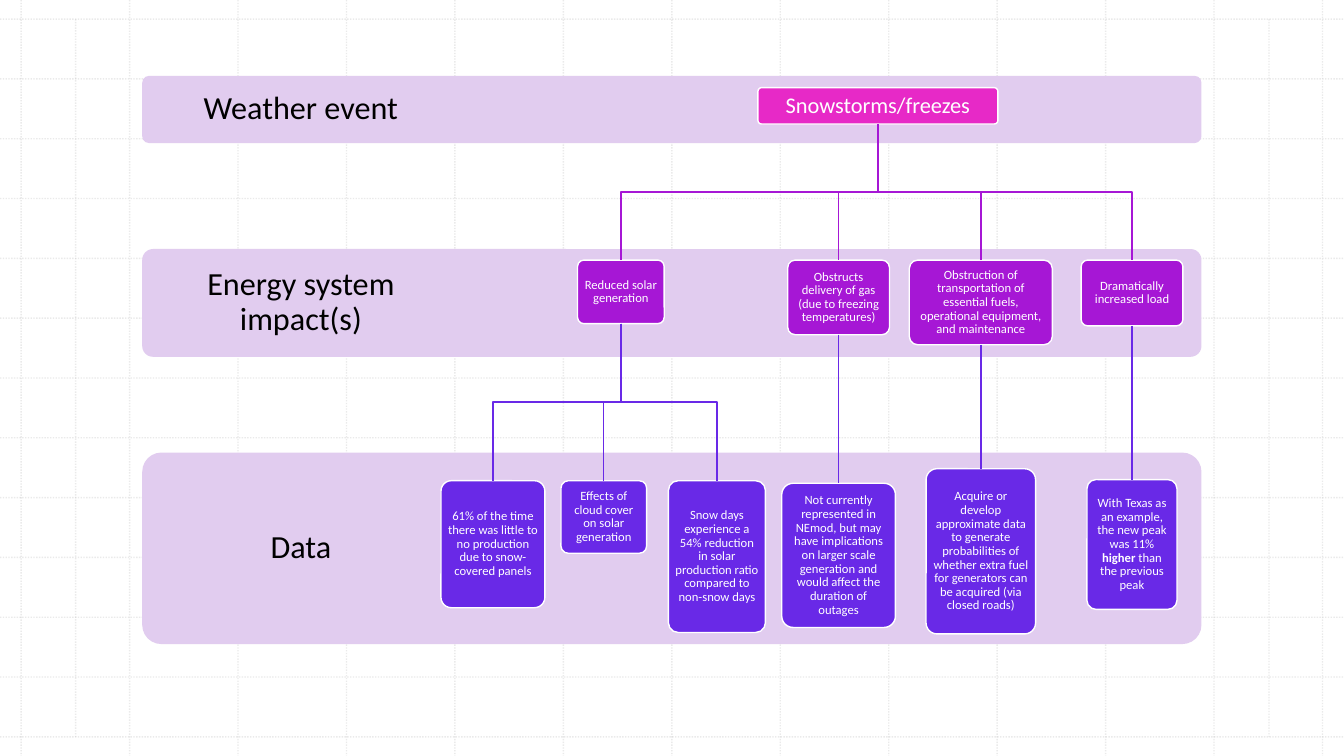
from pptx import Presentation
from pptx.dml.color import RGBColor
from pptx.enum.dml import MSO_LINE
from pptx.enum.shapes import MSO_CONNECTOR, MSO_SHAPE
from pptx.enum.text import MSO_ANCHOR, PP_ALIGN
from pptx.oxml.xmlchemy import OxmlElement
from pptx.util import Pt

STRAIGHT = MSO_CONNECTOR.STRAIGHT
ROUNDED = MSO_SHAPE.ROUNDED_RECTANGLE
DOTTED = MSO_LINE.ROUND_DOT
CENTER = PP_ALIGN.CENTER
MIDDLE = MSO_ANCHOR.MIDDLE
BOTTOM_SITE, TOP_SITE = 2, 0

rgb = RGBColor.from_string
PINK, PURPLE, VIOLET = "E729C7", "A617D5", "6929E7"

prs = Presentation()
prs.slide_width, prs.slide_height = Pt(960), Pt(540)
s = prs.slides.add_slide(prs.slide_layouts[6])


def add_line(x1, y1, x2, y2, color):
    cxn = s.shapes.add_connector(STRAIGHT, Pt(x1), Pt(y1), Pt(x2), Pt(y2))
    cxn.line.color.rgb = rgb(color)
    cxn.line.width = Pt(1)
    cxn._element.spPr.append(OxmlElement("a:effectLst"))
    return cxn


def write(sp, text, size, color, inset):
    tf = sp.text_frame
    tf.word_wrap = True
    tf.vertical_anchor = MIDDLE
    tf.margin_left = tf.margin_right = tf.margin_top = tf.margin_bottom = Pt(inset)
    p = tf.paragraphs[0]
    p.alignment = CENTER
    p.line_spacing = 0.9
    for i, part in enumerate(text.split("|")):
        r = p.add_run()
        r.text = part
        r.font.name = "Calibri"
        r.font.size = Pt(size)
        r.font.bold = i % 2 == 1
        r.font.color.rgb = rgb(color)


left, top, right, bottom = 15.12, 13.68, 944.64, 526.32
grid = [(left + i * (right - left) / 12, 0, left + i * (right - left) / 12, 540) for i in range(13)]
grid += [(0, top + i * (bottom - top) / 12, 960, top + i * (bottom - top) / 12) for i in range(13)]
grid += [(x, top, x, bottom) for x in (54, 906.48)]
for ends in grid:
    cxn = add_line(*ends, "BCBCBC")
    cxn.line.dash_style = DOTTED
    alpha = OxmlElement("a:alpha")
    alpha.set("val", "30000")
    cxn.line._ln.find(".//{*}srgbClr").append(alpha)

bands = [("Data", 323.3, 136.8), ("Energy system impact(s)", 177.9, 77), ("Weather event", 54.2, 48)]
for label, y, h in bands:
    sp = s.shapes.add_shape(ROUNDED, Pt(101.6), Pt(y), Pt(756.6), Pt(h))
    sp.adjustments[0] = 0.1
    sp.shadow.inherit = False
    sp.fill.solid()
    sp.fill.fore_color.rgb = rgb("E1CCEF")
    sp.line.fill.background()
    write(s.shapes.add_textbox(Pt(101.6), Pt(y), Pt(226.8), Pt(h)), label, 23, "000000", 12.8)

# name: (parent, text, colour, centre x, top, width, height)
nodes = {
    "storm": (None, "Snowstorms/freezes", PINK, 627.1, 62.6, 171.4, 26),
    "solar": ("storm", "Reduced solar generation", PURPLE, 443.5, 185.8, 61.9, 45.4),
    "gas": ("storm", "Obstructs delivery of gas (due to freezing temperatures)",
            PURPLE, 599, 185.8, 72.7, 53.3),
    "transport": ("storm", "Obstruction of transportation of essential fuels, "
                  "operational equipment, and maintenance", PURPLE, 700.6, 185.8, 102.2, 60.5),
    "load": ("storm", "Dramatically increased load", PURPLE, 808.6, 185.8, 72.7, 47),
    "panels": ("solar", "61% of the time there was little to no production due to "
               "snow-covered panels", VIOLET, 352.1, 343.4, 74.2, 90.7),
    "clouds": ("solar", "Effects of cloud cover on solar generation",
               VIOLET, 431.3, 343.4, 61.2, 51.8),
    "snow days": ("solar", "Snow days experience a 54% reduction in solar production ratio "
                  "compared to non-snow days", VIOLET, 512.1, 343.4, 69.3, 108.4),
    "outages": ("gas", "Not currently represented in NEmod, but may have implications on larger "
                "scale generation and would affect the duration of outages",
                VIOLET, 599, 345.2, 81.2, 103),
    "fuel": ("transport", "Acquire or develop approximate data to generate probabilities of "
             "whether extra fuel for generators can be acquired (via closed roads)",
             VIOLET, 700.6, 334.8, 78.2, 118),
    "peak": ("load", "With Texas as an example, the new peak was 11% |higher| than the "
             "previous peak", VIOLET, 808.6, 342.6, 64.3, 92.7),
}
boxes = {}
for name, (parent, text, color, cx, y, w, h) in nodes.items():
    sp = boxes[name] = s.shapes.add_shape(ROUNDED, Pt(cx - w / 2), Pt(y), Pt(w), Pt(h))
    sp.adjustments[0] = 0.1
    sp.shadow.inherit = False
    sp.fill.solid()
    sp.fill.fore_color.rgb = rgb(color)
    sp.line.color.rgb = rgb("FFFFFF")
    sp.line.width = Pt(1)
    write(sp, text, 9 if parent else 16, "FFFFFF", 2.7 if parent else 4.8)
    if not parent:
        continue
    parent_x, parent_y, parent_h = nodes[parent][3], nodes[parent][4], nodes[parent][6]
    start_y = parent_y + parent_h
    if parent_x == cx:
        cxn = add_line(cx, start_y, cx, y, color)
        cxn.begin_connect(boxes[parent], BOTTOM_SITE)
        cxn.end_connect(sp, TOP_SITE)
        continue
    mid_y = (start_y + y) / 2
    fb = s.shapes.build_freeform(Pt(parent_x), Pt(start_y))
    fb.add_line_segments([(Pt(parent_x), Pt(mid_y)), (Pt(cx), Pt(mid_y)), (Pt(cx), Pt(y))], close=False)
    branch = fb.convert_to_shape()
    branch.shadow.inherit = False
    branch.fill.background()
    branch.line.color.rgb = rgb(color)
    branch.line.width = Pt(1)

prs.save("out.pptx")
